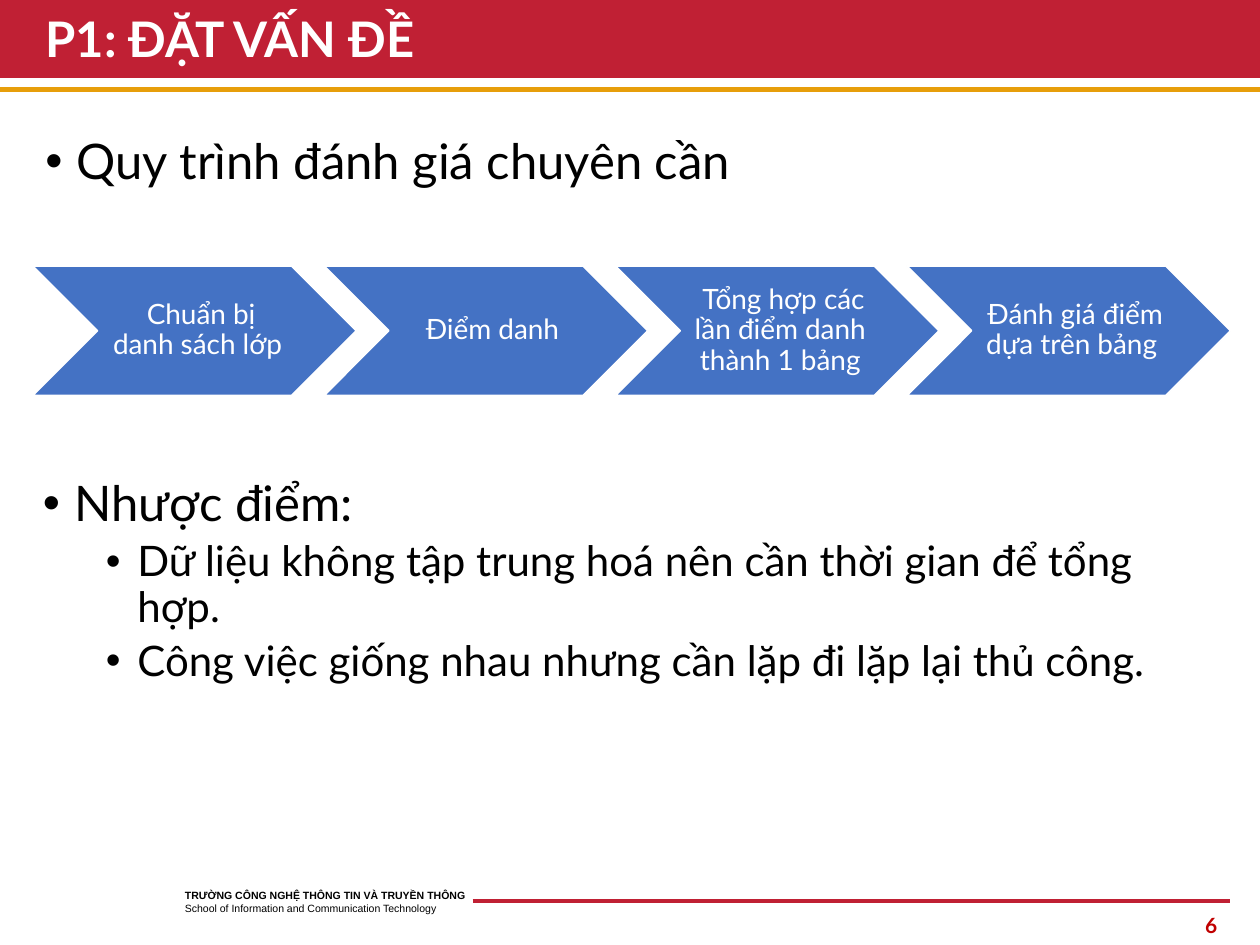
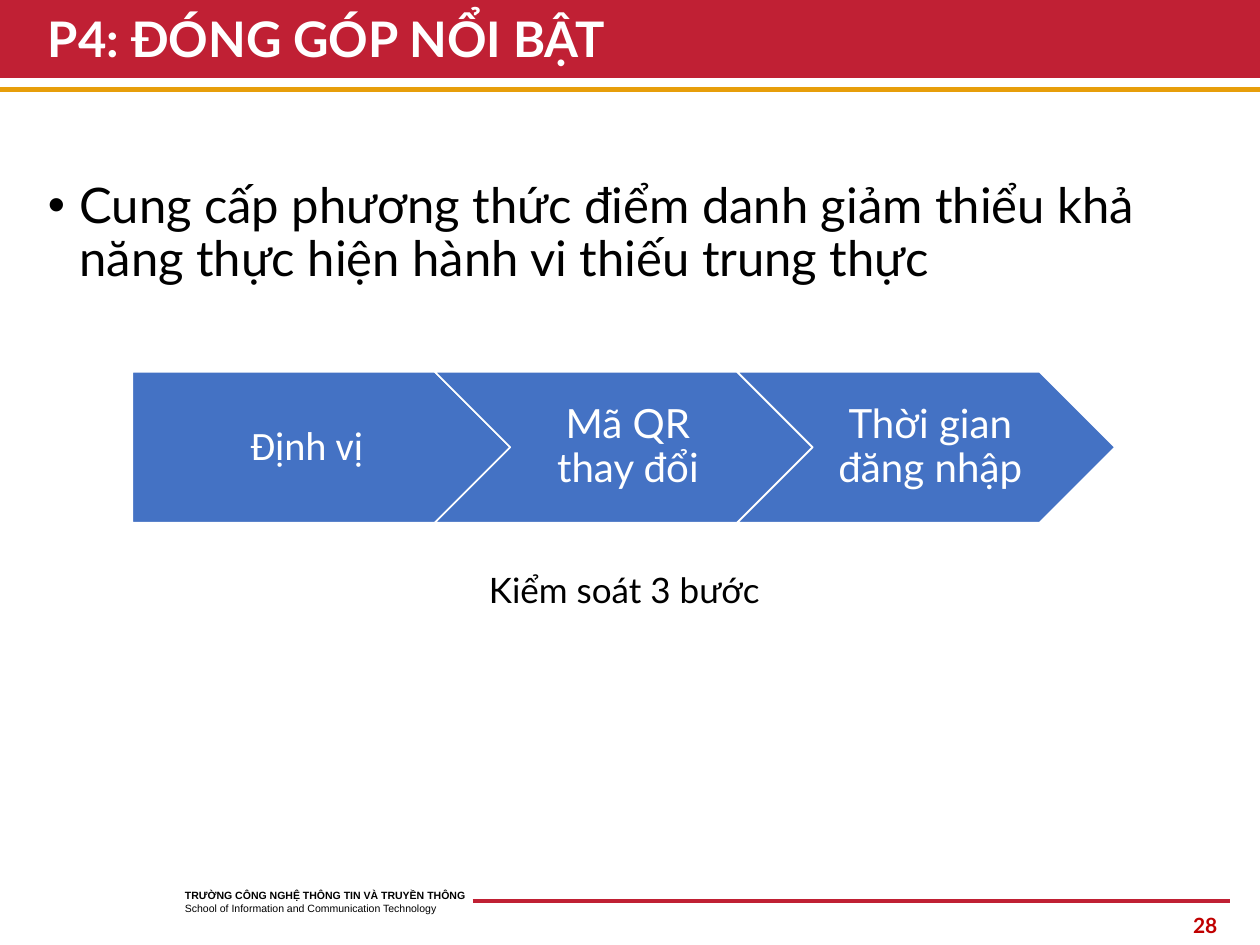
from dataclasses import dataclass

import pptx
import pptx.dml.color
import pptx.enum.shapes
import pptx.enum.text
import pptx.oxml.ns
import pptx.presentation
import pptx.shapes.base
import pptx.slide
import pptx.text.text
import pptx.util
from lxml import etree

Pt = pptx.util.Pt
ALIGN = pptx.enum.text.PP_ALIGN
ANCHOR = pptx.enum.text.MSO_ANCHOR
SHAPE = pptx.enum.shapes.MSO_SHAPE

COLORS = {
    "red": "C02034",
    "gold": "E79E0A",
    "number": "C00000",
    "step": "4472C4",
    "white": "FFFFFF",
    "black": "000000",
}
FONT = "Lato"
LINE_SPACING = 0.9


@dataclass(frozen=True)
class Box:
    left: float
    top: float
    width: float
    height: float


@dataclass(frozen=True)
class Rule:
    left: float
    right: float
    y: float
    weight: float
    color: str


@dataclass(frozen=True)
class TextStyle:
    size: float
    color: str = "black"
    bold: bool = False
    font: str = FONT


@dataclass(frozen=True)
class BulletLevel:
    style: TextStyle
    indent: float
    space_before: float


@dataclass(frozen=True)
class Step:
    text: str
    outline: pptx.enum.shapes.MSO_SHAPE = SHAPE.CHEVRON
    font: str = FONT


@dataclass(frozen=True)
class StepRow:
    first: Box
    pitch: float  # share of a step's width from one step to the next
    size: float
    insets: tuple[float, float]  # left, right
    steps: list[Step]


# Shared look
RULES = [
    Rule(0, 720, 22.3, 45, "red"),
    Rule(0, 720, 51.1, 3, "gold"),
    Rule(270, 703, 514.8, 2.25, "red"),
]
SCHOOL_BOX = Box(98.6, 504.7, 208, 21.6)
SCHOOL_NAME = "TRƯỜNG CÔNG NGHỆ THÔNG TIN VÀ TRUYỀN THÔNG\vSchool of Information and Communication Technology"
NUMBER_BOX = Box(540.7, 517.7, 162, 21.6)
TITLE_STYLE = TextStyle(28, "white", bold=True)
BULLET_LEVELS = [
    BulletLevel(TextStyle(28), 18, 10),
    BulletLevel(TextStyle(24), 54, 5),
]
HANGING = 18


def rgb(name: str) -> pptx.dml.color.RGBColor:
    return pptx.dml.color.RGBColor.from_string(COLORS[name])


def place(shape: pptx.shapes.base.BaseShape, box: Box) -> None:
    shape.left, shape.top = Pt(box.left), Pt(box.top)
    shape.width, shape.height = Pt(box.width), Pt(box.height)


def style_runs(paragraph: pptx.text.text._Paragraph, style: TextStyle) -> None:
    for run in paragraph.runs:
        run.font.name = style.font
        run.font.size = Pt(style.size)
        run.font.bold = style.bold
        run.font.color.rgb = rgb(style.color)


def add_text(slide: pptx.slide.Slide, box: Box, text: str, style: TextStyle,
             alignment: ALIGN = ALIGN.LEFT) -> pptx.text.text._Paragraph:
    shape = slide.shapes.add_textbox(Pt(0), Pt(0), Pt(0), Pt(0))
    place(shape, box)
    shape.text_frame.word_wrap = True
    paragraph = shape.text_frame.paragraphs[0]
    paragraph.text = text
    paragraph.alignment = alignment
    style_runs(paragraph, style)
    return paragraph


def add_rule(slide: pptx.slide.Slide, rule: Rule) -> None:
    connector = slide.shapes.add_connector(
        pptx.enum.shapes.MSO_CONNECTOR.STRAIGHT,
        Pt(rule.left), Pt(rule.y), Pt(rule.right), Pt(rule.y))
    connector.line.color.rgb = rgb(rule.color)
    connector.line.width = Pt(rule.weight)
    element = connector.element
    etree.SubElement(element.spPr, pptx.oxml.ns.qn("a:effectLst"))
    element.getparent().insert(2, element)  # behind the placeholders


def add_slide(presentation: pptx.presentation.Presentation, layout: int,
              title: str, title_box: Box, number: int) -> pptx.slide.Slide:
    slide = presentation.slides.add_slide(presentation.slide_layouts[layout])
    for rule in RULES:
        add_rule(slide, rule)

    # Title
    title_shape = slide.shapes.title
    place(title_shape, title_box)
    frame = title_shape.text_frame
    frame.text = title
    frame.auto_size = pptx.enum.text.MSO_AUTO_SIZE.NONE
    frame.vertical_anchor = ANCHOR.MIDDLE
    paragraph = frame.paragraphs[0]
    paragraph.alignment = ALIGN.LEFT
    paragraph.line_spacing = LINE_SPACING
    style_runs(paragraph, TITLE_STYLE)

    # Footer
    school = add_text(slide, SCHOOL_BOX, SCHOOL_NAME, TextStyle(6, font="Arial"))
    school.runs[0].font.bold = True
    add_text(slide, NUMBER_BOX, str(number), TextStyle(12, "number", bold=True), ALIGN.RIGHT)
    return slide


def fill_list(shape: pptx.shapes.base.BaseShape, box: Box,
              items: list[tuple[int, str]]) -> None:
    place(shape, box)
    frame = shape.text_frame
    frame.text = "\n".join(text for _, text in items)
    frame.auto_size = pptx.enum.text.MSO_AUTO_SIZE.NONE
    frame.vertical_anchor = ANCHOR.TOP
    for index, (paragraph, (depth, _)) in enumerate(zip(frame.paragraphs, items)):
        level = BULLET_LEVELS[depth]
        paragraph.level = depth
        paragraph.line_spacing = LINE_SPACING
        paragraph.space_before = Pt(level.space_before if index else 0)
        properties = paragraph._p.get_or_add_pPr()
        properties.set("marL", str(Pt(level.indent)))
        properties.set("indent", str(-Pt(HANGING)))
        etree.SubElement(properties, pptx.oxml.ns.qn("a:buFont"), typeface="Arial")
        etree.SubElement(properties, pptx.oxml.ns.qn("a:buChar"), char="•")
        style_runs(paragraph, level.style)


def add_steps(slide: pptx.slide.Slide, row: StepRow) -> None:
    for index, step in enumerate(row.steps):
        left = row.first.left + index * row.pitch * row.first.width
        shape = slide.shapes.add_shape(step.outline, Pt(0), Pt(0), Pt(0), Pt(0))
        place(shape, Box(left, row.first.top, row.first.width, row.first.height))
        shape.shadow.inherit = False
        shape.fill.solid()
        shape.fill.fore_color.rgb = rgb("step")
        shape.line.color.rgb = rgb("white")
        shape.line.width = Pt(1)
        frame = shape.text_frame
        frame.text = step.text
        frame.word_wrap = True
        frame.vertical_anchor = ANCHOR.MIDDLE
        frame.margin_left, frame.margin_right = (Pt(inset) for inset in row.insets)
        frame.margin_top = frame.margin_bottom = Pt(1.5)
        paragraph = frame.paragraphs[0]
        paragraph.alignment = ALIGN.CENTER
        paragraph.line_spacing = LINE_SPACING
        style_runs(paragraph, TextStyle(row.size, "white", font=step.font))


def build_problem_slide(presentation: pptx.presentation.Presentation) -> None:
    slide = add_slide(presentation, 3, "P1: ĐẶT VẤN ĐỀ", Box(18.7, 6.5, 683, 35), 6)
    fill_list(slide.placeholders[1], Box(18.7, 75, 420, 45),
              [(0, "Quy trình đánh giá chuyên cần")])
    add_steps(slide, StepRow(Box(18.7, 152, 185, 74), 0.9, 16, (5, 1.5), [
        Step(" Chuẩn bị danh sách lớp"),
        Step(" Điểm danh"),
        Step(" Tổng hợp các lần điểm danh thành 1 bảng"),
        Step(" Đánh giá điểm dựa trên bảng"),
    ]))
    fill_list(slide.placeholders[2], Box(17.3, 270, 686, 145), [
        (0, "Nhược điểm:"),
        (1, "Dữ liệu không tập trung hoá nên cần thời gian để tổng hợp."),
        (1, "Công việc giống nhau nhưng cần lặp đi lặp lại thủ công."),
    ])


def build_contribution_slide(presentation: pptx.presentation.Presentation) -> None:
    slide = add_slide(presentation, 1, "P4: ĐÓNG GÓP NỔI BẬT", Box(20.2, 6.5, 680, 35), 28)
    fill_list(slide.placeholders[1], Box(20.2, 100, 683, 87), [
        (0, "Cung cấp phương thức điểm danh giảm thiểu khả năng thực hiện hành vi thiếu trung thực"),
    ])
    add_steps(slide, StepRow(Box(75.6, 212.4, 216, 86.4), 0.8, 23, (7, 2), [
        Step("Định vị", SHAPE.PENTAGON, "Calibri"),
        Step("Mã QR thay đổi"),
        Step("Thời gian đăng nhập"),
    ]))
    caption = add_text(slide, Box(244.8, 324, 224, 43), "Kiểm soát 3 bước",
                       TextStyle(20), ALIGN.CENTER)
    caption.line_spacing = LINE_SPACING


def main() -> None:
    presentation = pptx.Presentation()
    presentation.slide_width, presentation.slide_height = Pt(720), Pt(540)
    build_problem_slide(presentation)
    build_contribution_slide(presentation)
    presentation.save("out.pptx")


if __name__ == "__main__":
    main()
